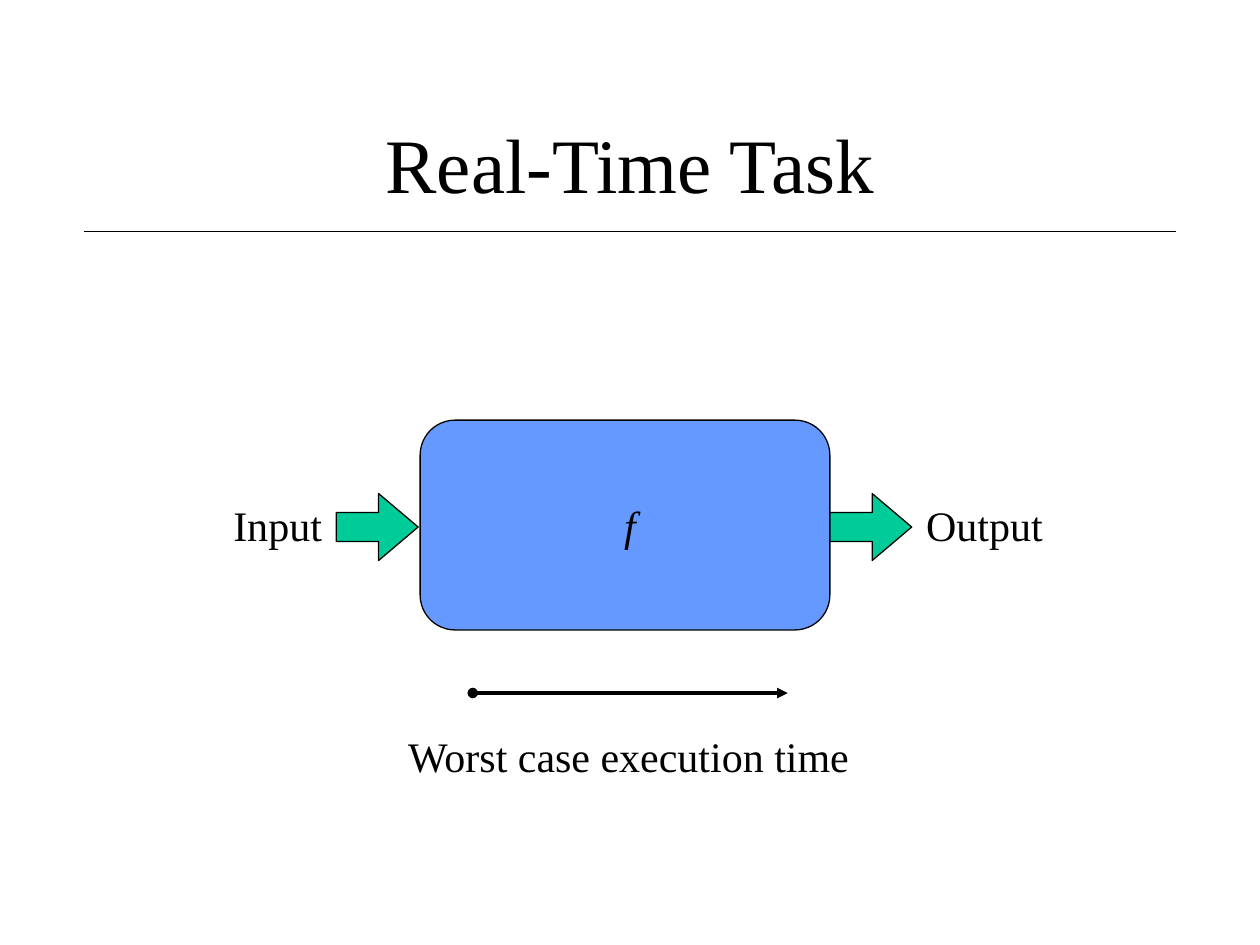
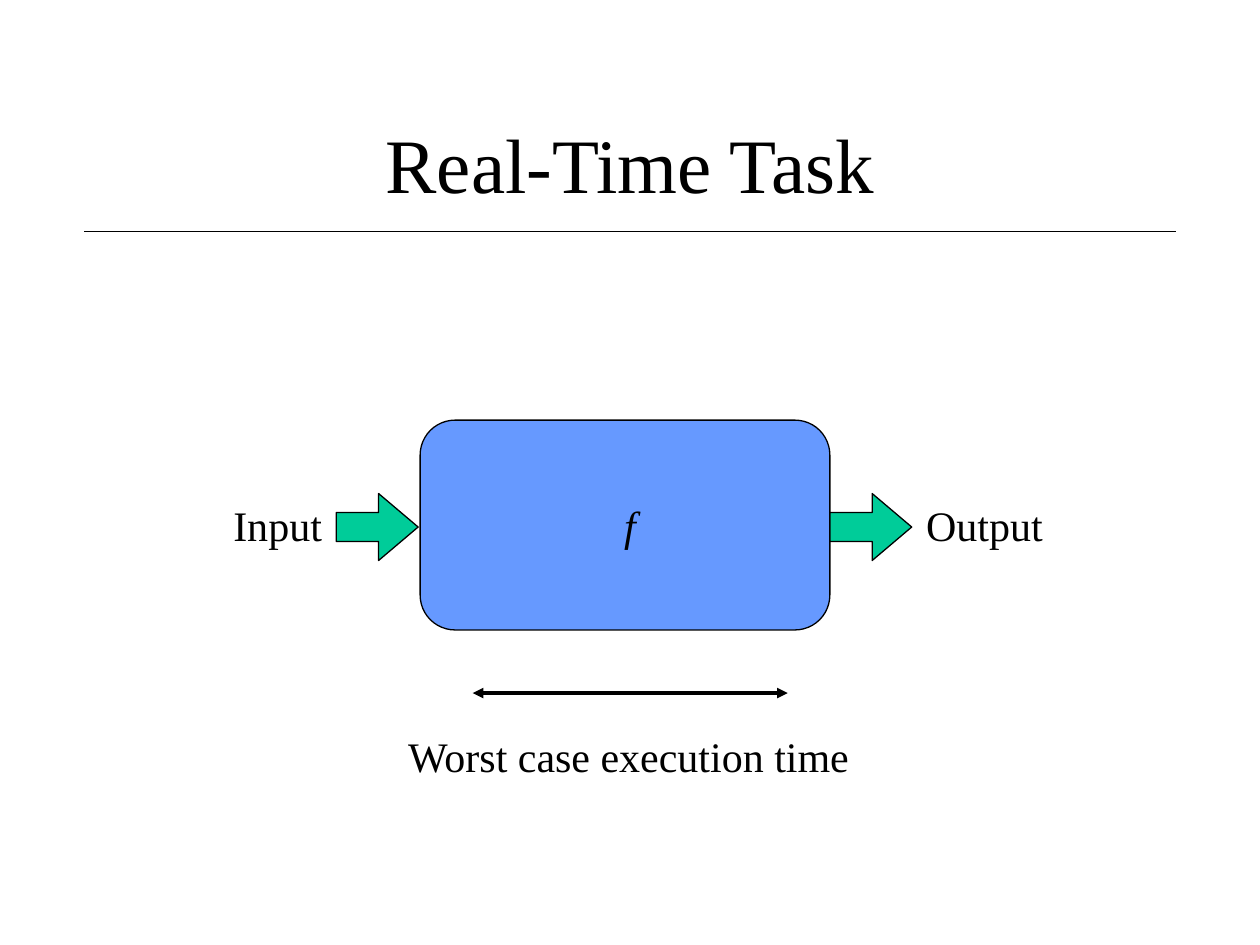
from collections import namedtuple

from lxml.etree import SubElement
from pptx import Presentation
from pptx.dml.color import RGBColor
from pptx.enum.shapes import MSO_CONNECTOR, MSO_SHAPE
from pptx.enum.text import MSO_ANCHOR, PP_ALIGN
from pptx.oxml.ns import qn
from pptx.util import Cm, Pt

BLACK = RGBColor(0x00, 0x00, 0x00)
BLUE = RGBColor(0x66, 0x99, 0xFF)
GREEN = RGBColor(0x00, 0xCC, 0x99)
FONT = "Times New Roman"

Box = namedtuple("Box", "left top width height")
TITLE_BOX = Box(1.91, 1.69, 21.59, 3.18)
TASK_BOX = Box(8.47, 8.47, 8.26, 4.23)
ARROW_WIDTH, ARROW_HEIGHT = 1.65, 1.35
LABEL_HEIGHT = 1.27


def add_text(slide, box, text, size=24, align=PP_ALIGN.LEFT,
             anchor=MSO_ANCHOR.TOP, italic=False, wrap=False):
    """Add a one-run text box."""
    frame = slide.shapes.add_textbox(*map(Cm, box)).text_frame
    frame.word_wrap = wrap
    frame.vertical_anchor = anchor
    paragraph = frame.paragraphs[0]
    paragraph.alignment = align
    run = paragraph.add_run()
    run.text = text
    run.font.name = FONT
    run.font.size = Pt(size)
    run.font.italic = italic
    run.font.color.rgb = BLACK


def add_block(slide, preset, box, color):
    """Add a filled preset shape with a thin black outline."""
    shape = slide.shapes.add_shape(preset, *map(Cm, box))
    shape.shadow.inherit = False
    shape.fill.solid()
    shape.fill.fore_color.rgb = color
    shape.line.color.rgb = BLACK
    shape.line.width = Pt(0.75)
    return shape


def add_rule(slide, left, right, top, width, head=None, tail=None):
    """Add a horizontal black line with optional end marks."""
    connector = slide.shapes.add_connector(
        MSO_CONNECTOR.STRAIGHT, Cm(left), Cm(top), Cm(right), Cm(top))
    connector.line.color.rgb = BLACK
    connector.line.width = Pt(width)
    properties = connector.element.spPr
    outline = properties.find(qn("a:ln"))
    for tag, mark in (("a:headEnd", head), ("a:tailEnd", tail)):
        if mark:
            SubElement(outline, qn(tag), type=mark)
    SubElement(properties, qn("a:effectLst"))


def add_title(slide, box, text):
    """Add the slide title and the rule beneath it."""
    add_text(slide, box, text, size=44, align=PP_ALIGN.CENTER,
             anchor=MSO_ANCHOR.MIDDLE, wrap=True)
    add_rule(slide, box.left - 0.21, box.left + box.width + 0.21,
             box.top + 2.97, 0.75)


def add_flow_arrow(slide, left, top):
    """Add a green arrow pointing right."""
    box = Box(left, top, ARROW_WIDTH, ARROW_HEIGHT)
    arrow = add_block(slide, MSO_SHAPE.RIGHT_ARROW, box, GREEN)
    arrow.adjustments[0] = 0.43
    arrow.adjustments[1] = 0.59


def add_task(slide, box):
    """Add the task block with its input, output and function name."""
    right = box.left + box.width
    row_top = box.top + 1.48
    reach = 1.69
    input_width, output_width, name_width = 2.4, 3, 1.7
    add_block(slide, MSO_SHAPE.FLOWCHART_ALTERNATE_PROCESS, box, BLUE)
    add_text(slide, Box(box.left + 3.38, row_top, name_width, LABEL_HEIGHT),
             "f", align=PP_ALIGN.CENTER, italic=True, wrap=True)
    add_flow_arrow(slide, box.left - reach, row_top)
    add_text(slide, Box(box.left - reach - input_width - 0.04, row_top,
                        input_width, LABEL_HEIGHT),
             "Input", align=PP_ALIGN.RIGHT, wrap=True)
    add_flow_arrow(slide, right, row_top)
    add_text(slide, Box(right + reach, row_top, output_width, LABEL_HEIGHT),
             "Output", wrap=True)


def add_execution_time(slide, box, head):
    """Add the time span and its caption below the task block."""
    bottom = box.top + box.height
    start = box.left + 1.06
    add_rule(slide, start, start + 6.35, bottom + 1.27, 2, head, "triangle")
    add_text(slide, Box(box.left - 0.49, bottom + 1.91, 9.6, LABEL_HEIGHT),
             "Worst case execution time", wrap=True)


def add_task_slide(presentation, head):
    """Add a real-time task slide whose time span starts with the given mark."""
    slide = presentation.slides.add_slide(presentation.slide_layouts[6])
    add_title(slide, TITLE_BOX, "Real-Time Task")
    add_task(slide, TASK_BOX)
    add_execution_time(slide, TASK_BOX, head)


def main():
    """Build and save the presentation."""
    presentation = Presentation()
    presentation.slide_width = Cm(25.4)
    presentation.slide_height = Cm(19.05)
    for head in ("oval", "triangle"):
        add_task_slide(presentation, head)
    presentation.save("out.pptx")


if __name__ == "__main__":
    main()
